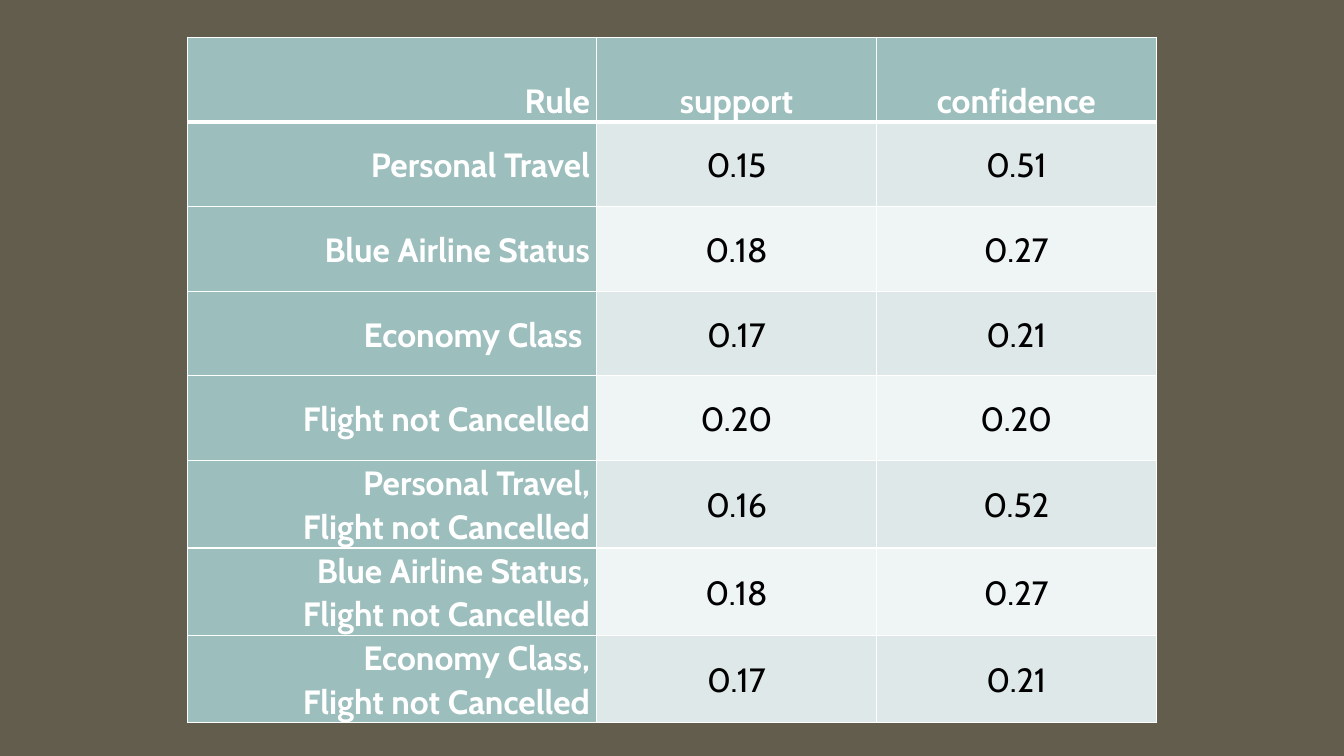
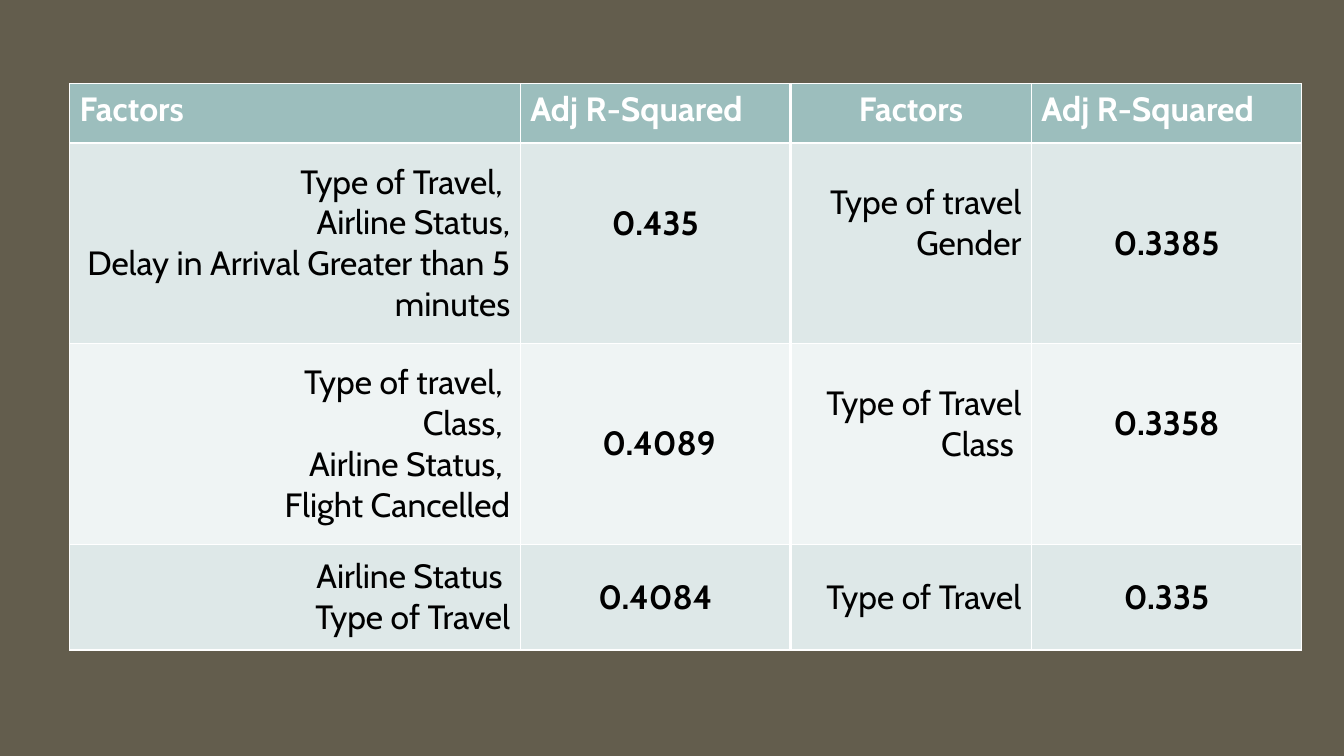
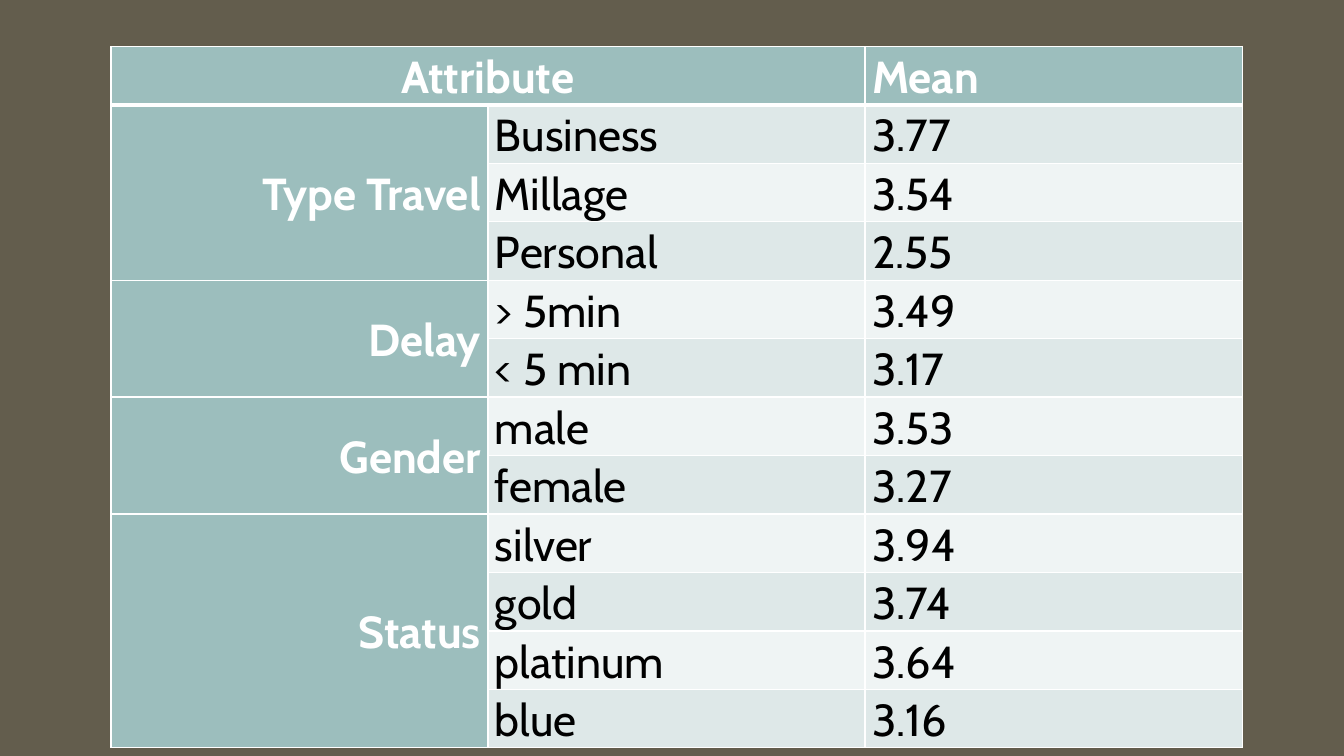
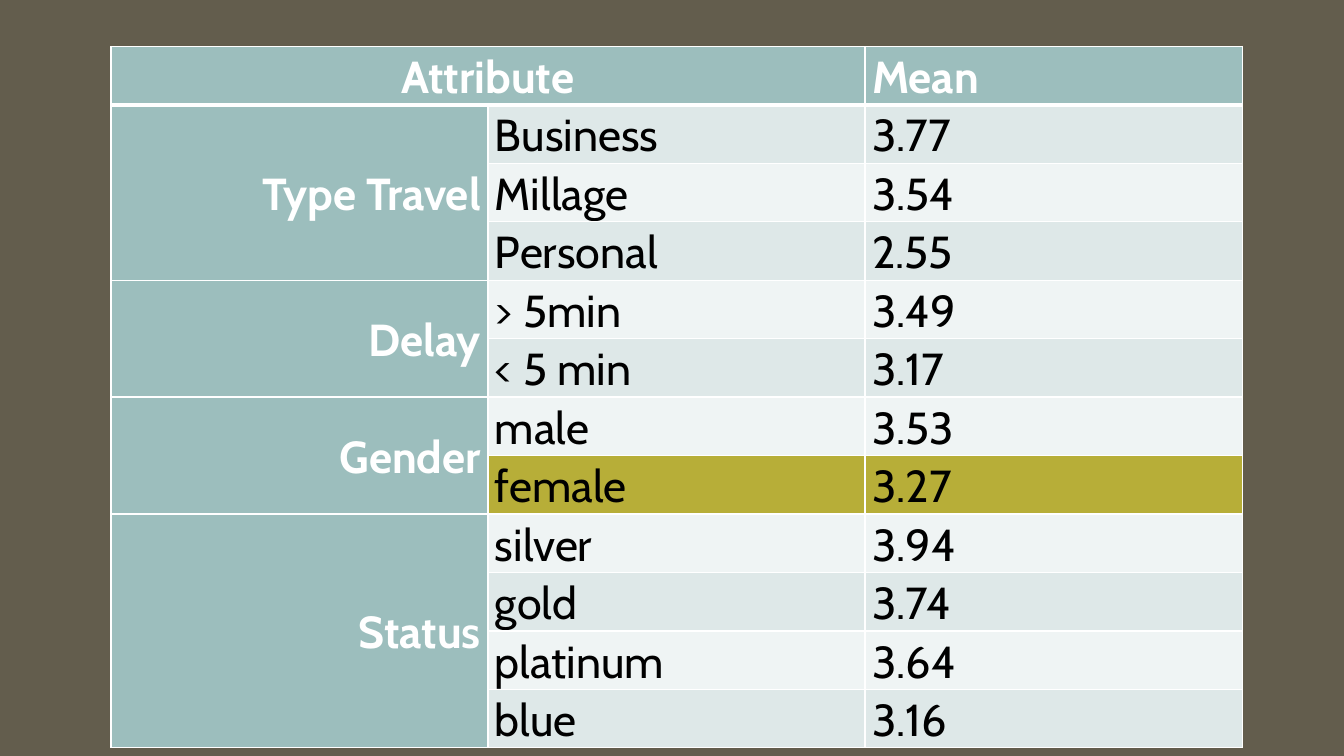
from lxml.etree import SubElement
from pptx import Presentation
from pptx.dml.color import RGBColor
from pptx.enum.text import MSO_ANCHOR as Anchor, PP_ALIGN as Align
from pptx.oxml.ns import qn
from pptx.util import Inches, Pt

BACKGROUND = RGBColor(0x63, 0x5D, 0x4D)
TEAL = RGBColor(0x9C, 0xBE, 0xBD)
BAND_DARK = RGBColor(0xDE, 0xE8, 0xE8)
BAND_LIGHT = RGBColor(0xEF, 0xF4, 0xF4)
HIGHLIGHT = RGBColor(0xB7, 0xAE, 0x38)
WHITE = RGBColor(0xFF, 0xFF, 0xFF)
BLACK = RGBColor(0x00, 0x00, 0x00)
FONT = "Cabin"
THIN = 1

LEFT, CENTER, RIGHT = Align.LEFT, Align.CENTER, Align.RIGHT
TOP, MIDDLE, BOTTOM = Anchor.TOP, Anchor.MIDDLE, Anchor.BOTTOM

RULES = [
    ("Rule", "support", "confidence"),
    ("Personal Travel", "0.15", "0.51"),
    ("Blue Airline Status", "0.18", "0.27"),
    ("Economy Class ", "0.17", "0.21"),
    ("Flight not Cancelled", "0.20", "0.20"),
    ("Personal Travel,\nFlight not Cancelled", "0.16", "0.52"),
    ("Blue Airline Status,\nFlight not Cancelled", "0.18", "0.27"),
    ("Economy Class,\nFlight not Cancelled", "0.17", "0.21"),
]

FACTORS = [
    ("Factors", "Adj R-Squared", "Factors", "Adj R-Squared"),
    ("Type of Travel, \nAirline Status,\nDelay in Arrival Greater than 5 minutes",
     "0.435", "Type of travel\nGender", "0.3385"),
    ("Type of travel, \nClass, \nAirline Status, \nFlight Cancelled",
     " 0.4089", "Type of Travel\nClass ", "0.3358"),
    ("Airline Status \nType of Travel", "0.4084", "Type of Travel", "0.335"),
]

MEANS = {
    "Type Travel": [("Business", "3.77"), ("Millage", "3.54"), ("Personal", "2.55")],
    "Delay": [("> 5min", "3.49"), ("< 5 min", "3.17")],
    "Gender": [("male", "3.53"), ("female", "3.27")],
    "Status": [("silver", "3.94"), ("gold", "3.74"), ("platinum", "3.64"), ("blue", "3.16")],
}


def mean_rows():
    rows, merges = [("Attribute", "", "Mean")], [(0, 0, 0, 1)]
    for attribute, values in MEANS.items():
        merges.append((len(rows), 0, len(rows) + len(values) - 1, 0))
        for index, (name, mean) in enumerate(values):
            rows.append(("" if index else attribute, name, mean))
    return rows, merges


MEAN_ROWS, MEAN_MERGES = mean_rows()

RULE_TABLE = dict(
    rows=RULES, at=(1.86, 0.37), widths=(4.06, 2.77, 2.78), heights=[0.84] * len(RULES),
    size=24, spacing=1.07, margins=(0.07, 0), header_line=3, label_columns={0},
    header_aligns=(RIGHT, CENTER, CENTER), body_aligns=(RIGHT, CENTER, CENTER),
    header_anchors=(BOTTOM,) * 3, body_anchors=(MIDDLE,) * 3)

FACTOR_TABLE = dict(
    rows=FACTORS, at=(0.69, 0.83), widths=(4.47, 2.68, 2.39, 2.68),
    heights=(0.59, 1.99, 1.99, 1.05), size=24, margins=(0.1, 0.05), header_line=2.25,
    header_aligns=(LEFT, LEFT, CENTER, LEFT), body_aligns=(RIGHT, CENTER, RIGHT, CENTER),
    header_anchors=(TOP,) * 4, body_anchors=(MIDDLE,) * 4, bold_columns={1, 3},
    divider=2, raised={(1, 1), (1, 2), (2, 2), (2, 3)})

MEAN_TABLE = dict(
    rows=MEAN_ROWS, merges=MEAN_MERGES, at=(1.1, 0.46), widths=(3.74,) * 3,
    heights=[0.54] * len(MEAN_ROWS), size=32, spacing=1.07, margins=(0.07, 0),
    header_line=3, label_columns={0},
    header_aligns=(CENTER, LEFT, LEFT), body_aligns=(RIGHT, LEFT, LEFT),
    header_anchors=(MIDDLE, TOP, TOP), body_anchors=(MIDDLE, TOP, TOP))

TABLES = [RULE_TABLE, FACTOR_TABLE, MEAN_TABLE, dict(MEAN_TABLE, highlight="female")]


def set_borders(cell, widths):
    properties = cell._tc.get_or_add_tcPr()
    for index, (side, width) in enumerate(zip("LRTB", widths)):
        line = SubElement(properties, qn(f"a:ln{side}"), w=str(Pt(width)))
        fill = SubElement(line, qn("a:solidFill"))
        SubElement(fill, qn("a:srgbClr"), val=str(WHITE))
        properties.insert(index, line)


def format_cell(cell, text, fill, align, anchor, margins, lift, size, color, bold, spacing):
    cell.fill.solid()
    cell.fill.fore_color.rgb = fill
    cell.vertical_anchor = anchor
    side, edge = margins
    cell.margin_left = cell.margin_right = Inches(side)
    cell.margin_top = Inches(edge)
    cell.margin_bottom = Inches(edge + lift)
    cell.text_frame.text = text
    for para in cell.text_frame.paragraphs:
        para.alignment = align
        para.line_spacing = spacing
        para.font.size = Pt(size)
        for span in para.runs:
            span.font.name = FONT
            span.font.size = Pt(size)
            span.font.bold = bold
            span.font.color.rgb = color


def add_table_slide(deck, rows, at, widths, heights, size, margins, header_line,
                    header_aligns, body_aligns, header_anchors, body_anchors,
                    spacing=None, merges=(), label_columns=(), bold_columns=(),
                    divider=None, raised=(), highlight=None):
    page = deck.slides.add_slide(deck.slide_layouts[6])
    frame = page.shapes.add_table(
        len(rows), len(widths), Inches(at[0]), Inches(at[1]),
        Inches(sum(widths)), Inches(sum(heights)))
    table = frame.table
    for column, width in zip(table.columns, widths):
        column.width = Inches(width)
    for row, height in zip(table.rows, heights):
        row.height = Inches(height)

    for r, texts in enumerate(rows):
        band = BAND_DARK if r % 2 else BAND_LIGHT
        if highlight in texts:
            band = HIGHLIGHT
        aligns, anchors = (body_aligns, body_anchors) if r else (header_aligns, header_anchors)
        for c, text in enumerate(texts):
            label = r == 0 or c in label_columns
            lift = 0.4 if (r, c) in raised else 0
            cell = table.cell(r, c)
            format_cell(cell, text, TEAL if label else band, aligns[c], anchors[c], margins,
                        lift, size, WHITE if label else BLACK, label or c in bold_columns,
                        spacing)
            set_borders(cell, (
                2.25 if c == divider else THIN,
                2.25 if c + 1 == divider else THIN,
                header_line if r == 1 else THIN,
                header_line if r == 0 else THIN))

    for top, left, bottom, right in merges:
        table.cell(top, left).merge(table.cell(bottom, right))


def main():
    deck = Presentation()
    deck.slide_width, deck.slide_height = Inches(13.33), Inches(7.5)
    backdrop = deck.slide_master.background.fill
    backdrop.solid()
    backdrop.fore_color.rgb = BACKGROUND
    for settings in TABLES:
        add_table_slide(deck, **settings)
    deck.save("out.pptx")


if __name__ == "__main__":
    main()
